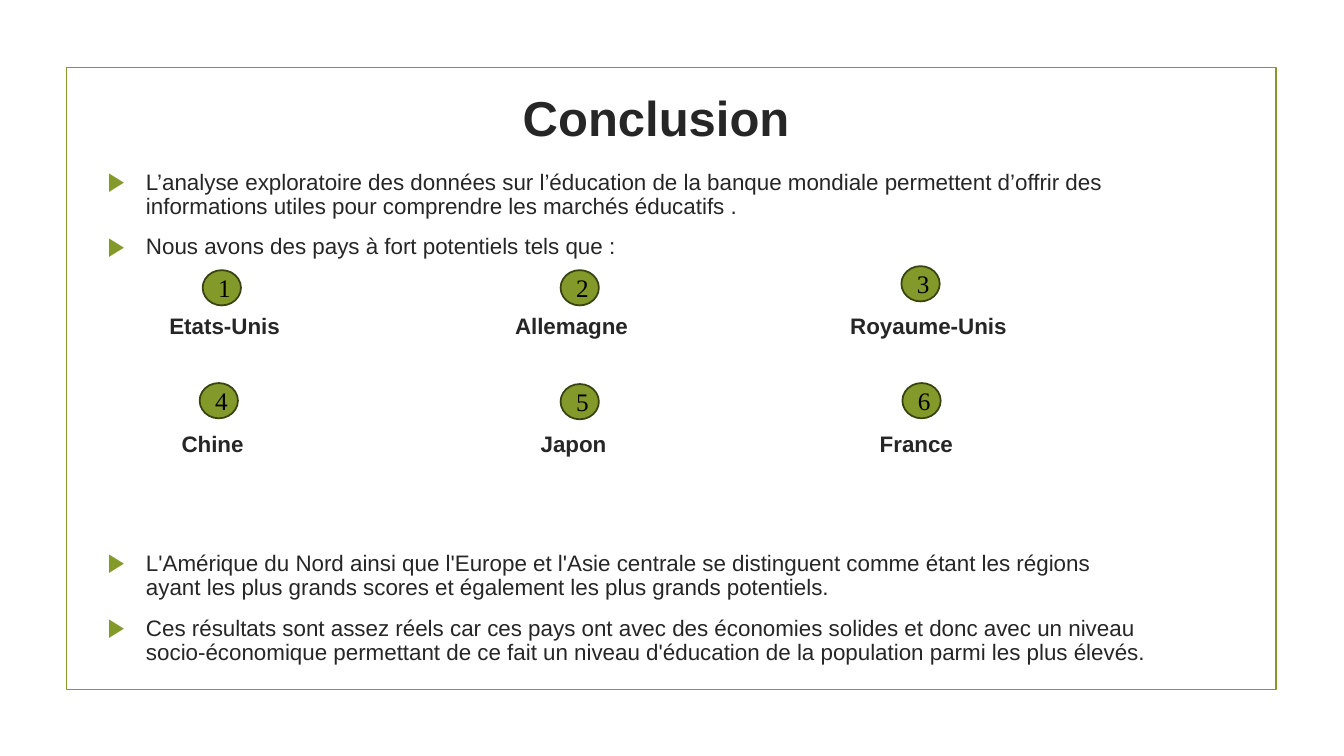
from lxml.etree import SubElement
from pptx import Presentation
from pptx.dml.color import RGBColor
from pptx.enum.shapes import MSO_SHAPE as Shape
from pptx.enum.text import MSO_ANCHOR as Anchor, PP_ALIGN as Align
from pptx.oxml.ns import qn
from pptx.util import Inches, Pt

GREEN, DARK_GREEN, TEXT, BLACK = "83992A", "394312", "262626", "000000"


def color(value):
    return RGBColor.from_string(value)


class SlideBuilder:
    font = "Arial"
    badge_font = "Times New Roman"
    body_size = 16
    line_width = 1.25

    def __init__(self, slide):
        self.slide = slide

    def add_run(self, paragraph, text, size, font=None, fill=TEXT, bold=False):
        run = paragraph.add_run()
        run.text = text
        run.font.name = font or self.font
        run.font.size = Pt(size)
        run.font.bold = bold
        run.font.color.rgb = color(fill)

    def outlined(self, kind, box, line, fill=None):
        shape = self.slide.shapes.add_shape(kind, *map(Inches, box))
        shape.shadow.inherit = False
        if fill:
            shape.fill.solid()
            shape.fill.fore_color.rgb = color(fill)
        else:
            shape.fill.background()
        shape.line.color.rgb = color(line)
        shape.line.width = Pt(self.line_width)
        return shape

    def text_box(self, box, anchor=Anchor.TOP):
        frame = self.slide.shapes.add_textbox(*map(Inches, box)).text_frame
        frame.word_wrap = True
        frame.vertical_anchor = anchor
        return frame

    def title(self, text, box):
        paragraph = self.text_box(box, Anchor.MIDDLE).paragraphs[0]
        paragraph.alignment = Align.CENTER
        self.add_run(paragraph, text, 35, bold=True)

    def body_paragraph(self, frame, gap):
        first = not frame.paragraphs[0].runs
        paragraph = frame.paragraphs[0] if first else frame.add_paragraph()
        paragraph.line_spacing = 0.92
        paragraph.space_before = Pt(0 if first else gap)
        paragraph.space_after = Pt(8)
        return paragraph

    def bullet(self, frame, text, gap=3):
        paragraph = self.body_paragraph(frame, gap)
        properties = paragraph._p.get_or_add_pPr()
        properties.set("marL", str(Inches(0.38)))
        properties.set("indent", str(-Inches(0.38)))
        bullet_color = SubElement(properties, qn("a:buClr"))
        SubElement(bullet_color, qn("a:srgbClr"), val=GREEN)
        SubElement(properties, qn("a:buSzPct"), val="115000")
        SubElement(properties, qn("a:buFont"), typeface=self.font)
        SubElement(properties, qn("a:buChar"), char="▶")
        self.add_run(paragraph, text, self.body_size)

    def country_row(self, frame, names, centers, gap):
        paragraph = self.body_paragraph(frame, gap)
        properties = paragraph._p.get_or_add_pPr()
        SubElement(properties, qn("a:buNone"))
        tabs = SubElement(properties, qn("a:tabLst"))
        for center in centers:
            SubElement(tabs, qn("a:tab"), pos=str(Inches(center)), algn="ctr")
        for name in names:
            self.add_run(paragraph, "\t" + name, self.body_size, bold=True)

    def badge(self, number, left, top):
        shape = self.outlined(Shape.OVAL, (left, top, 0.38, 0.35), DARK_GREEN, GREEN)
        shape.text_frame.word_wrap = True
        shape.text_frame.vertical_anchor = Anchor.MIDDLE
        paragraph = shape.text_frame.paragraphs[0]
        paragraph.alignment = Align.CENTER
        self.add_run(paragraph, str(number), 18, self.badge_font, BLACK)


def main():
    presentation = Presentation()
    presentation.slide_width = Inches(13.33)
    presentation.slide_height = Inches(7.5)
    builder = SlideBuilder(presentation.slides.add_slide(presentation.slide_layouts[6]))

    # Frame and title
    builder.outlined(Shape.RECTANGLE, (0.66, 0.67, 12, 6.17), GREEN)
    builder.title("Conclusion", (1.26, 0.79, 10.5, 0.73))

    # Findings, with the countries set on centred tab stops
    body = builder.text_box((0.97, 1.64, 10.5, 4.54))
    builder.bullet(body, "L’analyse exploratoire des données sur l’éducation de la banque mondiale "
                         "permettent d’offrir des informations utiles pour comprendre les marchés "
                         "éducatifs .")
    builder.bullet(body, "Nous avons des pays à fort potentiels tels que :")
    builder.country_row(body, ("Etats-Unis", "Allemagne", "Royaume-Unis"),
                        (1.16, 4.6, 8.14), gap=31)
    builder.country_row(body, ("Chine", "Japon", "France"), (1.04, 4.62, 8.02), gap=59)
    builder.bullet(body, "L'Amérique du Nord ainsi que l'Europe et l'Asie centrale se distinguent "
                         "comme étant les régions ayant les plus grands scores et également les "
                         "plus grands potentiels.", gap=59)
    builder.bullet(body, "Ces résultats sont assez réels car ces pays ont avec des économies solides "
                         "et donc avec un niveau socio-économique permettant de ce fait un niveau "
                         "d'éducation de la population parmi les plus élevés.")

    # Rank badges above the countries
    badge_places = ((2.01, 2.68), (5.56, 2.68), (8.94, 2.64),
                    (1.98, 3.8), (5.56, 3.81), (8.95, 3.8))
    for number, (left, top) in enumerate(badge_places, start=1):
        builder.badge(number, left, top)

    presentation.save("out.pptx")


if __name__ == "__main__":
    main()
